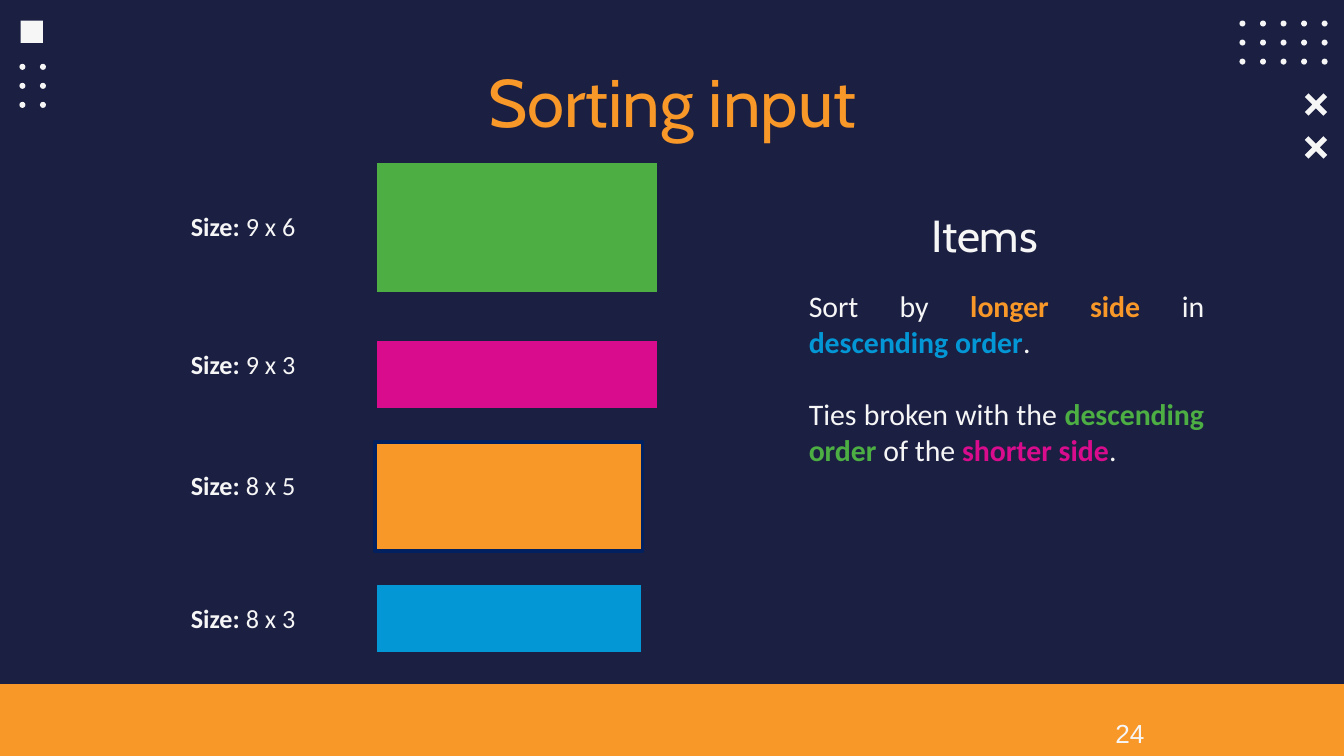
import pptx
import pptx.util
import pptx.dml.color
import pptx.enum.shapes
import pptx.enum.text

Pt = pptx.util.Pt
RGB = pptx.dml.color.RGBColor.from_string
SHAPE = pptx.enum.shapes.MSO_SHAPE
ALIGN = pptx.enum.text.PP_ALIGN

COLORS = {
    "navy": "1B1F42",
    "outline": "002060",
    "white": "F6F6F6",
    "orange": "F89829",
    "green": "4CAE43",
    "magenta": "D80C8C",
    "blue": "0397D6",
}


def paint(sp, fill, line=None):
    sp.shadow.inherit = False
    sp.fill.solid()
    sp.fill.fore_color.rgb = RGB(COLORS[fill])
    if line:
        sp.line.color.rgb = RGB(COLORS[line])
        sp.line.width = Pt(2)
    else:
        sp.line.fill.background()


def write(p, parts, size, font, align):
    p.alignment = align
    for text, color, bold in parts:
        r = p.add_run()
        r.text = text
        r.font.size = Pt(size)
        r.font.name = font
        r.font.bold = bold
        r.font.color.rgb = RGB(COLORS[color])


prs = pptx.Presentation()
prs.slide_width, prs.slide_height = Pt(720), Pt(405)
s = prs.slides.add_slide(prs.slide_layouts[5])
s.background.fill.solid()
s.background.fill.fore_color.rgb = RGB(COLORS["navy"])

for left, top, columns in [(664, 11, 5), (10.4, 34.2, 2)]:
    for row in range(3):
        for col in range(columns):
            sp = s.shapes.add_shape(SHAPE.OVAL, Pt(left + 11 * col), Pt(top + 10.2 * row), Pt(3.2), Pt(3.2))
            paint(sp, "white")

cross = [(4, 6), (6, 4), (2, 0), (6, -4), (4, -6), (0, -2),
         (-4, -6), (-6, -4), (-2, 0), (-6, 4), (-4, 6), (0, 2)]
for cy in (56.5, 79.3):
    points = [(705.2 + x, cy + y) for x, y in cross]
    fb = s.shapes.build_freeform(*points[0], scale=Pt(1))
    fb.add_line_segments(points[1:], close=True)
    paint(fb.convert_to_shape(), "white")

for left, top, width, height, color in [(11, 11, 12, 12, "white"), (0, 366.5, 720, 38.5, "orange")]:
    paint(s.shapes.add_shape(SHAPE.RECTANGLE, Pt(left), Pt(top), Pt(width), Pt(height)), color)

title = s.shapes.title
title.left, title.top, title.width, title.height = Pt(56.2), Pt(25.2), Pt(607.6), Pt(45.4)
tf = title.text_frame
tf.auto_size = pptx.enum.text.MSO_AUTO_SIZE.NONE
tf.vertical_anchor = pptx.enum.text.MSO_ANCHOR.TOP
tf.margin_top = tf.margin_bottom = Pt(7.2)
write(tf.paragraphs[0], [("Sorting input", "orange", False)], 36, "Cabin", ALIGN.CENTER)

items = [
    ("9 x 6", 109.4, 86.4, 152, 71.2, "green", "navy"),
    ("9 x 3", 182.9, 181.8, 152, 37.6, "magenta", "navy"),
    ("8 x 5", 247.7, 236.9, 143.2, 58.2, "orange", "outline"),
    ("8 x 3", 319, 312.5, 143.2, 38, "blue", "navy"),
]
texts = [
    (457.9, 108, 139, 36, 24, "Cabin", ALIGN.CENTER, [[("Items", "white", False)]]),
    (426.2, 150.5, 226, 104.4, 16, "Calibri", ALIGN.JUSTIFY, [
        [("Sort by ", "white", False), ("longer side ", "orange", True), ("in ", "white", False),
         ("descending order", "blue", True), (".", "white", False)],
        [("Ties broken with the ", "white", False), ("descending order", "green", True),
         (" of the ", "white", False), ("shorter side", "magenta", True), (".", "white", False)],
    ]),
    (590.4, 380.9, 123.8, 24.2, 14, "Arial", ALIGN.LEFT, [[("24", "white", False)]]),
]
for size, label_top, top, width, height, fill, line in items:
    sp = s.shapes.add_shape(SHAPE.RECTANGLE, Pt(201), Pt(top), Pt(width), Pt(height))
    paint(sp, fill, line)
    label = [("Size: ", "white", True), (size, "white", False)]
    texts.append((87.1, label_top, 86.4, 24.2, 14, "Calibri", ALIGN.CENTER, [label]))

for left, top, width, height, size, font, align, paragraphs in texts:
    tf = s.shapes.add_textbox(Pt(left), Pt(top), Pt(width), Pt(height)).text_frame
    tf.word_wrap = True
    for i, parts in enumerate(paragraphs):
        p = tf.add_paragraph() if i else tf.paragraphs[0]
        p.space_before = Pt(19.5 if i else 0)
        write(p, parts, size, font, align)

prs.save("out.pptx")
